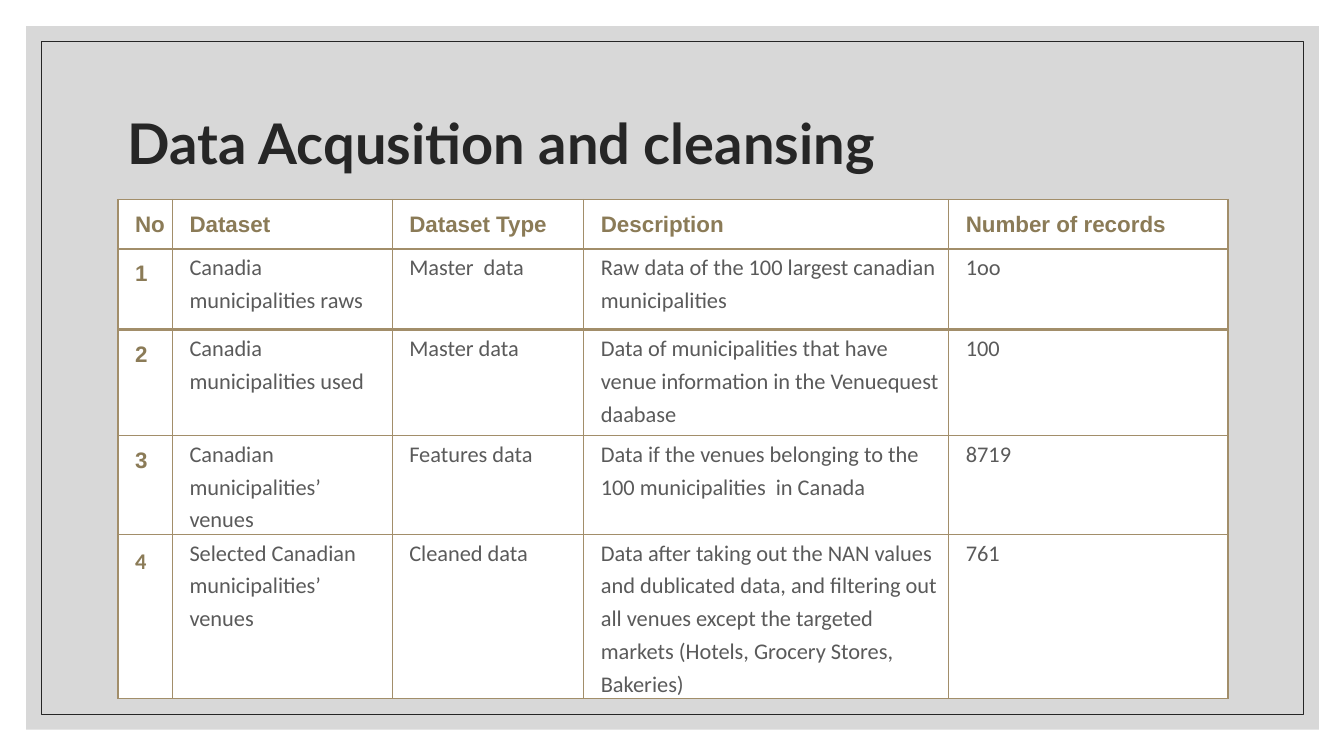
from lxml import etree
from pptx import Presentation
from pptx import util as u
from pptx.dml.color import RGBColor
from pptx.enum import shapes, text
from pptx.oxml.ns import qn

PX = 9144
WHITE, DARK, GREY = "FFFFFF", "262626", "5A5A5A"
GOLD, BORDER, BACKDROP = "8B7B57", "A28E6A", "BFBFBF"
COLUMN_WIDTHS = [54, 218, 190, 362, 277]
ROW_HEIGHTS = [49, 80, 105, 98, 163]
RULE_WIDTHS = [1, 2, 2, 1, 1, 1]
ROWS = [
    ["No", "Dataset", "Dataset Type", "Description", "Number of records"],
    ["1", "Canadia municipalities raws", "Master  data",
     "Raw data of the 100 largest canadian municipalities", "1oo"],
    ["2", "Canadia municipalities used", "Master data",
     "Data of municipalities that have venue information in the Venuequest daabase", "100"],
    ["3", "Canadian municipalities’ venues", "Features data",
     "Data if the venues belonging to the 100 municipalities  in Canada", "8719"],
    ["4", "Selected Canadian municipalities’ venues", "Cleaned data",
     "Data after taking out the NAN values and dublicated data, and filtering out "
     "all venues except the targeted markets (Hotels, Grocery Stores, Bakeries)", "761"],
]


def px(*lengths):
    return [u.Emu(length * PX) for length in lengths]


def colour(value):
    return RGBColor.from_string(value)


def format_text(para, size, font, shade, bold, spacing):
    para.line_spacing = spacing
    for span in para.runs:
        span.font.size = u.Pt(size)
        span.font.name = font
        span.font.bold = bold
        span.font.color.rgb = colour(shade)


def add_rectangle(page, place, fill=None, opacity=100, line=None):
    box = page.shapes.add_shape(shapes.MSO_SHAPE.RECTANGLE, *px(*place))
    box.shadow.inherit = False
    if fill:
        box.fill.solid()
        box.fill.fore_color.rgb = colour(fill)
        tint = box.fill._xPr.find(qn("a:solidFill"))[0]
        etree.SubElement(tint, qn("a:alpha"), val=str(opacity * 1000))
    else:
        box.fill.background()
    if line:
        box.line.color.rgb = colour(line)
        box.line.width = u.Pt(0.5)
    else:
        box.line.fill.background()


def add_title(page, place, title):
    frame = page.shapes.add_textbox(*px(*place)).text_frame
    frame.word_wrap = True
    frame.vertical_anchor = text.MSO_ANCHOR.MIDDLE
    frame.text = title
    format_text(frame.paragraphs[0], 40, "Lato", DARK, True, 0.9)


def add_border(cell, side, width):
    line = etree.SubElement(cell._tc.get_or_add_tcPr(), qn(f"a:ln{side}"), w=str(u.Pt(width)))
    fill = etree.SubElement(line, qn("a:solidFill"))
    etree.SubElement(fill, qn("a:srgbClr"), val=BORDER)


def fill_cell(cell, wording, row, column):
    for side, width in zip("LRTB", [1, 1, RULE_WIDTHS[row], RULE_WIDTHS[row + 1]]):
        add_border(cell, side, width)
    cell.fill.solid()
    cell.fill.fore_color.rgb = colour(WHITE)
    cell.margin_left, cell.margin_right, cell.margin_top, cell.margin_bottom = px(7, 7, 0, 0)
    cell.text_frame.text = wording
    para = cell.text_frame.paragraphs[0]
    para.space_after = u.Pt(8)
    para._p.get_or_add_pPr().set("marL", str(10 * PX))
    para._p.get_or_add_pPr().set("indent", "0")
    heading = row == 0 or column == 0
    font = "Arial" if heading and wording != "4" else "Calibri"
    format_text(para, 16, font, GOLD if heading else GREY, heading, 1.5 if heading else 1.2)


def add_dataset_table(page, left, top):
    place = px(left, top, sum(COLUMN_WIDTHS), sum(ROW_HEIGHTS))
    table = page.shapes.add_table(len(ROWS), len(COLUMN_WIDTHS), *place).table
    table.first_row = False
    table.horz_banding = False
    for column, width in zip(table.columns, px(*COLUMN_WIDTHS)):
        column.width = width
    for row, height in zip(table.rows, px(*ROW_HEIGHTS)):
        row.height = height
    for row, wordings in enumerate(ROWS):
        for column, wording in enumerate(wordings):
            fill_cell(table.cell(row, column), wording, row, column)


def main():
    deck = Presentation()
    deck.slide_width, deck.slide_height = px(1333, 750)
    page = deck.slides.add_slide(deck.slide_layouts[6])
    add_rectangle(page, (26, 26, 1282, 698), fill=BACKDROP, opacity=60)
    add_rectangle(page, (41, 41, 1252, 668), line=DARK)
    add_title(page, (117, 70, 1100, 150), "Data Acqusition and cleansing")
    add_dataset_table(page, 117, 198)
    deck.save("out.pptx")


if __name__ == "__main__":
    main()
